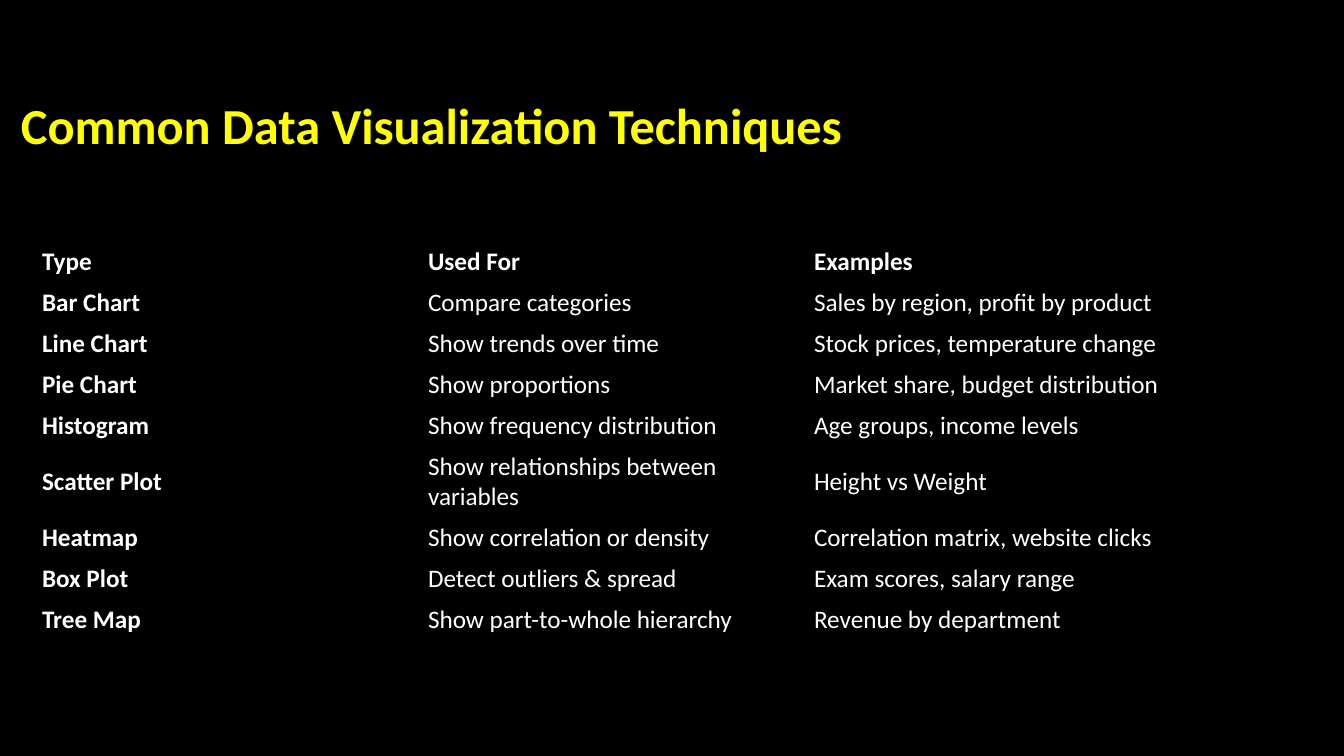
import pptx
import pptx.dml.color
import pptx.enum.text
import pptx.oxml.ns
import pptx.util

PX = 914400 / 100.8
COLORS = {"background": "000000", "title": "FFFF00", "text": "FFFFFF"}
NO_GRID_STYLE = "{2D5ABB26-0587-4C30-8999-92F81FD0307C}"
ROWS = [
    ("Type", "Used For", "Examples"),
    ("Bar Chart", "Compare categories", "Sales by region, profit by product"),
    ("Line Chart", "Show trends over time", "Stock prices, temperature change"),
    ("Pie Chart", "Show proportions", "Market share, budget distribution"),
    ("Histogram", "Show frequency distribution", "Age groups, income levels"),
    ("Scatter Plot", "Show relationships between variables", "Height vs Weight"),
    ("Heatmap", "Show correlation or density", "Correlation matrix, website clicks"),
    ("Box Plot", "Detect outliers & spread", "Exam scores, salary range"),
    ("Tree Map", "Show part-to-whole hierarchy", "Revenue by department"),
]
COLUMN_WIDTH, ROW_HEIGHT, TALL_ROW_HEIGHT = 386, 41, 71


def px(length):
    return pptx.util.Emu(round(length * PX))


def write(text_frame, text, size=18, color="text", bold=False, line_spacing=None):
    paragraph = text_frame.paragraphs[0]
    paragraph.alignment = pptx.enum.text.PP_ALIGN.LEFT
    paragraph.line_spacing = line_spacing
    run = paragraph.add_run()
    run.text = text
    run.font.name = "Calibri"
    run.font.size = pptx.util.Pt(size)
    run.font.bold = bold
    run.font.color.rgb = pptx.dml.color.RGBColor.from_string(COLORS[color])


presentation = pptx.Presentation()
presentation.slide_width, presentation.slide_height = px(1344), px(756)
slide = presentation.slides.add_slide(presentation.slide_layouts[5])
slide.background.fill.solid()
slide.background.fill.fore_color.rgb = pptx.dml.color.RGBColor.from_string(COLORS["background"])

title = slide.shapes.title
title.left, title.top, title.width, title.height = px(0), px(55), px(1159), px(146)
title.text_frame.margin_left = px(21)
title.text_frame.vertical_anchor = pptx.enum.text.MSO_ANCHOR.MIDDLE
write(title.text_frame, "Common Data Visualization Techniques",
      size=36, color="title", bold=True, line_spacing=0.9)

table_height = ROW_HEIGHT * (len(ROWS) - 1) + TALL_ROW_HEIGHT
table = slide.shapes.add_table(len(ROWS), 3, px(32), px(241),
                               px(3 * COLUMN_WIDTH), px(table_height)).table
table.first_row = False
table.horz_banding = False
table._tbl.tblPr.find(pptx.oxml.ns.qn("a:tableStyleId")).text = NO_GRID_STYLE
for column in table.columns:
    column.width = px(COLUMN_WIDTH)

for row_index, row in enumerate(ROWS):
    is_tall = row[0] == "Scatter Plot"
    table.rows[row_index].height = px(TALL_ROW_HEIGHT if is_tall else ROW_HEIGHT)
    for column_index, text in enumerate(row):
        cell = table.cell(row_index, column_index)
        cell.fill.background()
        cell.vertical_anchor = pptx.enum.text.MSO_ANCHOR.MIDDLE
        write(cell.text_frame, text, bold=row_index == 0 or column_index == 0)

presentation.save("out.pptx")
